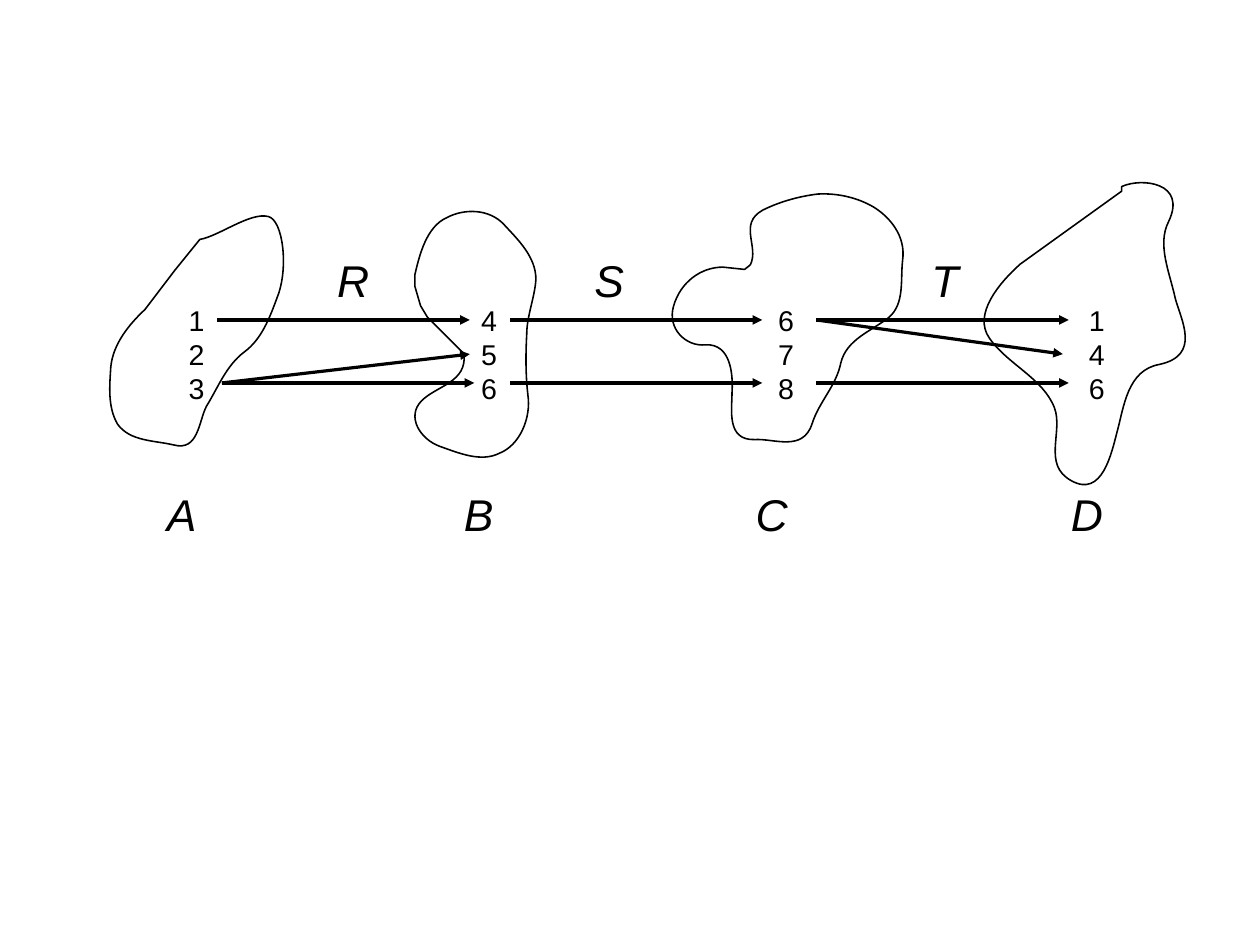
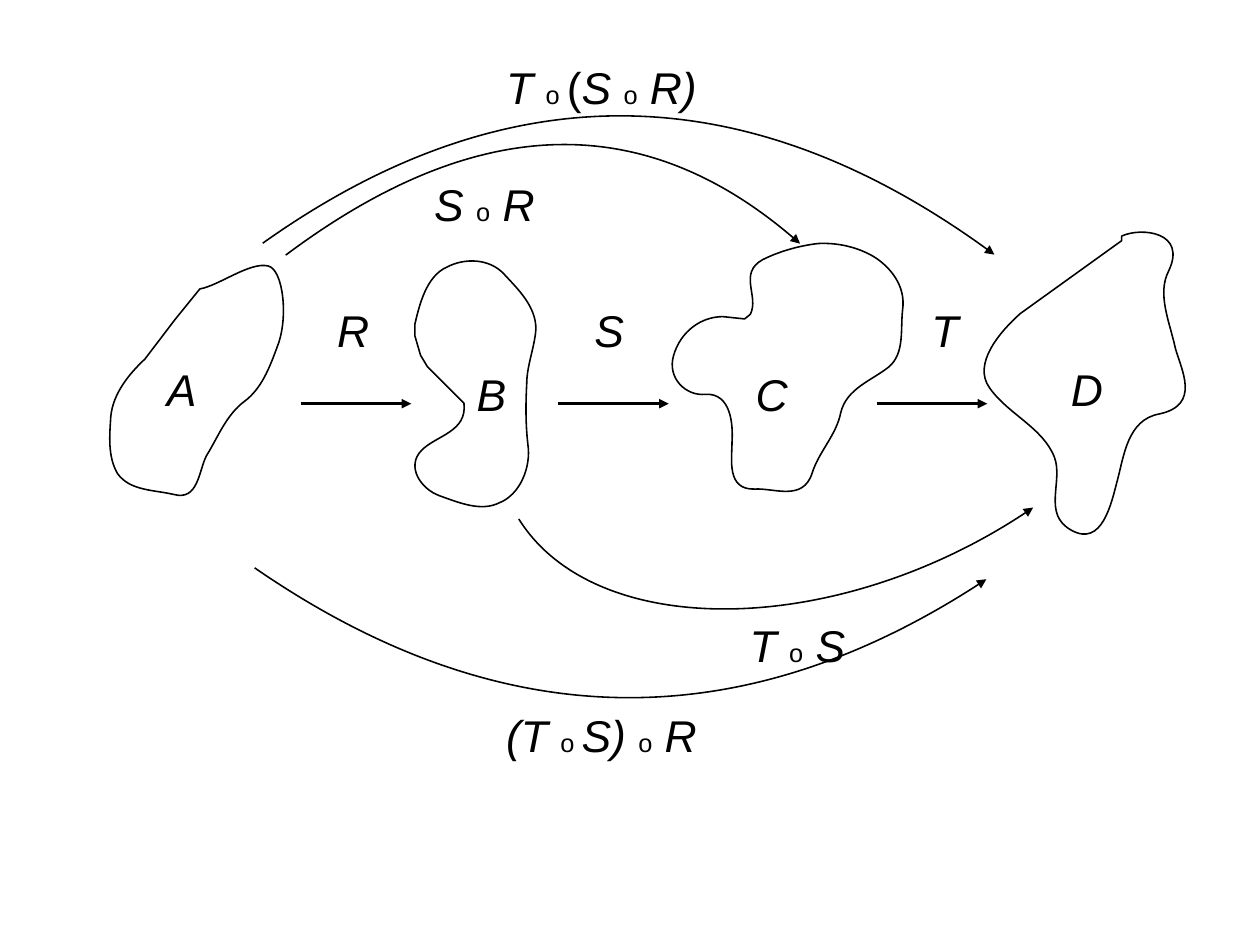
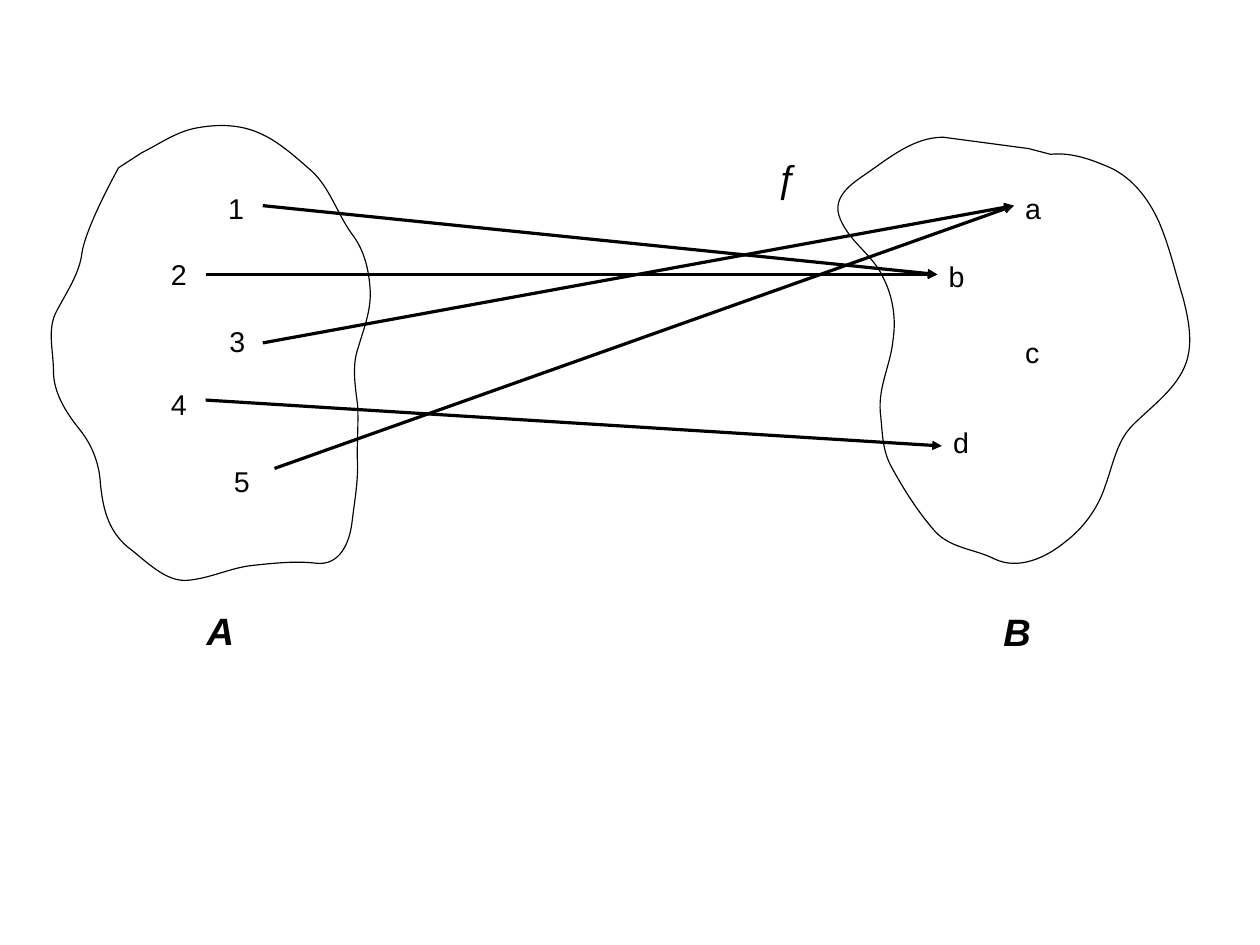
from collections import namedtuple
from dataclasses import dataclass

from lxml.etree import SubElement
from pptx import Presentation
from pptx.dml.color import RGBColor
from pptx.enum.shapes import MSO_CONNECTOR as Connector
from pptx.enum.text import MSO_AUTO_SIZE as AutoSize
from pptx.oxml.ns import qn
from pptx.util import Cm, Pt

# Lengths are centimetres until they reach Cm().
Box = namedtuple("Box", "left top width height")
Style = namedtuple("Style", "size bold italic", defaults=(False, False))


@dataclass(frozen=True)
class Theme:
    """Colours, font, type sizes and line widths of the deck."""
    ink: RGBColor = RGBColor(0, 0, 0)
    font: str = "Arial"
    element: Style = Style(18)
    name: Style = Style(28, italic=True)
    bracket: Style = Style(28)
    ring: Style = Style(16)
    bold_name: Style = Style(24, bold=True, italic=True)
    function: Style = Style(24)
    outline: float = 1
    hairline: float = 0


THEME = Theme()

# Outlines in free units: a start point, then lines (x, y) or
# curves (control, control, end). Each is fitted to the box it is given.
LEAF = [
    (127, 271), (113, 284, 99, 301, 97, 321), (96, 337, 94, 356, 103, 371),
    (114, 386, 135, 385, 152, 389), (174, 395, 174, 368, 181, 355),
    (191, 339, 198, 320, 214, 308), (229, 297, 236, 279, 243, 260),
    (253, 235, 248, 193, 235, 190), (219, 186, 192, 207, 175, 210),
    (153, 237), (127, 271)]
BEAN = [
    (406, 309), (409, 334, 382, 337, 369, 350), (355, 364, 368, 384, 385, 390),
    (402, 396, 421, 404, 437, 396), (455, 389, 465, 365, 462, 345),
    (460, 328, 460, 310, 461, 292), (461, 276, 468, 260, 469, 244),
    (469, 224, 453, 209, 441, 196), (428, 182, 406, 182, 391, 190),
    (373, 198, 367, 223, 363, 240), (363, 250), (368, 267), (374, 277),
    (406, 309)]
CLOUD = [
    (632, 234), (613, 234, 595, 247, 589, 268), (583, 288, 600, 304, 617, 302),
    (639, 301, 641, 328, 640, 344), (640, 359, 635, 386, 660, 385),
    (677, 384, 702, 396, 710, 371), (716, 352, 731, 338, 735, 318),
    (740, 297, 762, 290, 777, 278), (791, 266, 787, 245, 789, 228),
    (792, 207, 778, 190, 763, 181), (749, 173, 732, 169, 715, 170),
    (698, 172, 681, 177, 667, 184), (645, 196, 664, 216, 656, 232),
    (651, 236), (632, 234)]
KITE = [
    (893, 231), (875, 247, 851, 275, 866, 296), (882, 319, 913, 331, 923, 357),
    (931, 378, 912, 407, 938, 421), (965, 436, 973, 397, 978, 378),
    (984, 356, 987, 324, 1015, 319), (1052, 311, 1034, 280, 1029, 261),
    (1024, 238, 1013, 214, 1023, 194), (1040, 159, 999, 155, 982, 163),
    (982, 167), (893, 231)]
DOMAIN = [
    (72, 221), (70, 239, 59, 255, 50, 272), (41, 288, 47, 307, 47, 325),
    (47, 344, 58, 361, 69, 375), (80, 388, 87, 405, 88, 423),
    (90, 443, 94, 464, 112, 479), (128, 491, 145, 510, 165, 508),
    (185, 506, 202, 497, 221, 495), (240, 493, 258, 491, 276, 493),
    (298, 496, 306, 474, 308, 458), (310, 441, 313, 425, 313, 408),
    (312, 391, 314, 373, 313, 355), (311, 339, 308, 321, 313, 306),
    (318, 289, 325, 272, 324, 254), (323, 237, 319, 219, 308, 205),
    (295, 187, 289, 165, 273, 150), (258, 137, 242, 122, 223, 115),
    (207, 109, 190, 109, 173, 112), (155, 115, 140, 126, 124, 134),
    (104, 147), (104, 147, 76, 197, 72, 221)]
CODOMAIN = [
    (825, 120), (800, 120, 779, 137, 759, 151), (746, 160, 726, 172, 735, 192),
    (744, 213, 764, 223, 773, 244), (781, 260, 784, 279, 781, 298),
    (779, 319, 768, 338, 770, 361), (772, 377, 771, 393, 780, 409),
    (791, 429, 803, 448, 818, 465), (832, 480, 852, 480, 870, 489),
    (891, 499, 915, 488, 932, 474), (948, 462, 961, 444, 967, 425),
    (974, 406, 977, 386, 991, 372), (1008, 355, 1030, 340, 1038, 317),
    (1044, 299, 1040, 279, 1035, 260), (1028, 237, 1023, 215, 1014, 194),
    (1005, 174, 991, 156, 972, 147), (956, 140, 938, 133, 919, 135),
    (900, 130), (825, 120)]


def within(box, left, top, width=0, height=0):
    """Return a box placed relative to the corner of another."""
    return Box(box.left + left, box.top + top, width, height)


def pairs(numbers):
    """Split a flat run of numbers into (x, y) points."""
    return list(zip(numbers[::2], numbers[1::2]))


def sample(outline, steps=24):
    """Return points that lie on an outline."""
    points = [outline[0]]
    for segment in outline[1:]:
        if len(segment) == 2:
            points.append(segment)
            continue
        corners = [points[-1]] + pairs(segment)
        for step in range(1, steps + 1):
            t = step / steps
            weights = ((1 - t) ** 3, 3 * t * (1 - t) ** 2, 3 * t * t * (1 - t), t ** 3)
            points.append(tuple(sum(weight * corner[axis] for weight, corner in zip(weights, corners))
                                for axis in (0, 1)))
    return points


def style_line(shape, width, arrow=False):
    """Give a shape or connector the ink line, with an optional arrowhead."""
    shape.line.color.rgb = THEME.ink
    shape.line.width = Pt(width)
    if arrow:
        SubElement(shape.line._get_or_add_ln(), qn("a:tailEnd"), type="triangle")


def add_outline(slide, box, outline, width=THEME.outline, arrow=False):
    """Draw a curved outline fitted to the box; an arrow stays open."""
    points = sample(outline)
    xs, ys = zip(*points)
    scale_x = Cm(box.width) / (max(xs) - min(xs))
    scale_y = Cm(box.height) / (max(ys) - min(ys))

    def fit(point):
        return round((point[0] - min(xs)) * scale_x), round((point[1] - min(ys)) * scale_y)

    fitted = [fit(point) for point in points]
    builder = slide.shapes.build_freeform(*fitted[0])
    builder.add_line_segments(fitted[1:], close=not arrow)
    shape = builder.convert_to_shape(Cm(box.left), Cm(box.top))
    # The builder knows straight segments only, so the curves replace them.
    geometry = shape._element.xpath(".//a:path")[0]
    for segment in geometry.findall(qn("a:lnTo")):
        geometry.remove(segment)
    closing = geometry.find(qn("a:close"))
    for segment in outline[1:]:
        tag = "a:lnTo" if len(segment) == 2 else "a:cubicBezTo"
        command = SubElement(geometry, qn(tag))
        for x, y in map(fit, pairs(segment)):
            SubElement(command, qn("a:pt"), x=str(x), y=str(y))
    if closing is not None:
        geometry.append(closing)
    shape.fill.background()
    shape.shadow.inherit = False
    style_line(shape, width, arrow)


def add_arrow(slide, start, end):
    """Draw a straight hairline arrow."""
    connector = slide.shapes.add_connector(Connector.STRAIGHT, *map(Cm, start + end))
    style_line(connector, THEME.hairline, arrow=True)
    SubElement(connector._element.spPr, qn("a:effectLst"))


def format_run(run, style):
    """Apply the font and a type style to a run."""
    run.font.name = THEME.font
    run.font.size = Pt(style.size)
    run.font.bold = style.bold
    run.font.italic = style.italic
    run.font.color.rgb = THEME.ink


def add_frame(slide, box):
    """Add a wrapping text box and return its text frame."""
    text_frame = slide.shapes.add_textbox(*map(Cm, box)).text_frame
    text_frame.word_wrap = True
    text_frame.auto_size = AutoSize.SHAPE_TO_FIT_TEXT
    return text_frame


def add_label(slide, box, text, style):
    """Write text in one style, a paragraph for each line."""
    text_frame = add_frame(slide, box)
    text_frame.text = text
    for paragraph in text_frame.paragraphs:
        for run in paragraph.runs:
            format_run(run, style)


def add_formula(slide, box, parts):
    """Write a composition of relations from (text, style) parts."""
    paragraph = add_frame(slide, box).paragraphs[0]
    for text, style in parts:
        run = paragraph.add_run()
        run.text = text
        format_run(run, style)


def add_names(slide, box, names):
    """Write the italic name of each set or relation at its place."""
    for name, left, top in names:
        add_label(slide, within(box, left, top, 1.3, 1.35), name, THEME.name)


def add_set_row(slide, box):
    """Draw the four sets in a row and the names of the relations between."""
    for outline, place in ((LEAF, (0, 0.74, 3.86, 5.11)), (BEAN, (6.78, 0.64, 2.69, 5.46)),
                           (CLOUD, (12.5, 0.25, 5.13, 5.51)), (KITE, (19.43, 0, 4.47, 6.71))):
        add_outline(slide, within(box, *place), outline)
    add_names(slide, box, [("R", 4.8, 1.45), ("S", 10.52, 1.45), ("T", 18.01, 1.45)])


def elements_slide(slide, box):
    """Show the relations element by element."""
    add_set_row(slide, box)
    for elements, left in (("1\n2\n3", 1.5), ("4\n5\n6", 8), ("6\n7\n8", 14.6), ("1\n4\n6", 21.51)):
        add_label(slide, within(box, left, 2.54, 0.76, 2.39), elements, THEME.element)
    add_names(slide, box, [("A", 1.02, 6.65), ("B", 7.62, 6.65), ("C", 14.1, 6.65), ("D", 21.11, 6.65)])
    first, second, third = 3.05, 3.81, 4.45
    for left, start, right, end in (
            (2.39, first, 8, first), (2.49, third, 8, second), (2.49, third, 8.1, third),
            (8.89, first, 14.5, first), (8.89, third, 14.5, third),
            (15.7, first, 21.31, first), (15.7, first, 21.18, second), (15.7, third, 21.31, third)):
        add_arrow(slide, within(box, left, start)[:2], within(box, right, end)[:2])


def composition_slide(slide, box):
    """Show that composing the relations is associative."""
    add_set_row(slide, box)
    add_names(slide, box, [("A", 1.02, 2.77), ("B", 7.9, 2.87), ("C", 14.1, 2.87), ("D", 21.11, 2.77)])
    for left in (4.24, 9.96, 17.04):
        add_arrow(slide, within(box, left, 3.81)[:2], within(box, left + 2.46, 3.81)[:2])
    for place, arc in (
            ((3.4, -2.57, 16.26, 3.07), [(230, 213), (443, 62, 657, 66, 870, 223)]),
            ((3.91, -1.93, 11.43, 2.44), [(250, 223), (417, 98, 567, 95, 700, 213)]),
            ((9.09, 6.12, 11.43, 2.24), [(454, 454), (521, 561, 737, 558, 904, 444)]),
            ((3.22, 7.46, 16.26, 2.87), [(223, 497), (436, 644, 650, 648, 863, 507)])):
        add_outline(slide, within(box, *place), arc, arrow=True)
    name, ring, bracket = THEME.name, THEME.ring, THEME.bracket
    for left, top, width, parts in (
            (6.96, -1.35, 2.84, [("S ", name), ("ο", ring), (" R", name)]),
            (8.56, -3.94, 5.28, [("T ", name), ("ο ", ring), ("(", bracket), ("S ", name),
                                 ("ο", ring), (" R)", name)]),
            (8.56, 10.46, 5.28, [("(T ", name), ("ο ", ring), ("S) ", name), ("ο", ring), (" R", name)]),
            (13.97, 8.45, 2.84, [("T ", name), ("ο", ring), (" S", name)])):
        add_formula(slide, within(box, left, top, width, 1.35), parts)


def add_element_set(slide, box, outline, name, name_place, elements):
    """Draw a set with its scattered elements and its name below."""
    add_outline(slide, box, outline, THEME.hairline)
    for element, left, top in elements:
        add_label(slide, within(box, left, top, 1.52, 0.97), element, THEME.element)
    add_label(slide, within(box, *name_place, 1.52, 1.19), name, THEME.bold_name)


def function_slide(slide, box):
    """Show a function from one set to another."""
    add_element_set(slide, within(box, 0, 0, 7.09, 10.11), DOMAIN, "A", (3.2, 10.59),
                    [("1", 3.68, 1.32), ("2", 2.41, 2.79), ("3", 3.71, 4.29),
                     ("4", 2.41, 5.69), ("5", 3.81, 7.39)])
    add_element_set(slide, within(box, 17.48, 0.26, 7.82, 9.47), CODOMAIN, "B", (3.43, 10.34),
                    [("a", 3.91, 1.07), ("b", 2.21, 2.57), ("c", 3.91, 4.27), ("d", 2.31, 6.27)])
    to_a, to_b, to_d = (21.39, 1.78), (19.69, 3.31), (19.79, 7.12)
    for start, end in (((4.7, 1.78), to_b), ((3.43, 3.31), to_b), ((4.7, 4.83), to_a),
                       ((3.43, 6.1), to_d), ((4.96, 7.62), to_a)):
        add_arrow(slide, within(box, *start)[:2], within(box, *end)[:2])
    add_label(slide, within(box, 15.88, 0.51, 1.02, 1.35), "ƒ", THEME.function)


def main():
    """Build the deck."""
    presentation = Presentation()
    presentation.slide_width, presentation.slide_height = Cm(28), Cm(21)
    blank = presentation.slide_layouts[6]
    for build, box in ((elements_slide, Box(2.44, 4.06, 23.9, 8)),
                       (composition_slide, Box(2.44, 5.16, 23.9, 6.71)),
                       (function_slide, Box(1.14, 2.79, 25.3, 11.78))):
        build(presentation.slides.add_slide(blank), box)
    presentation.save("out.pptx")


main()
